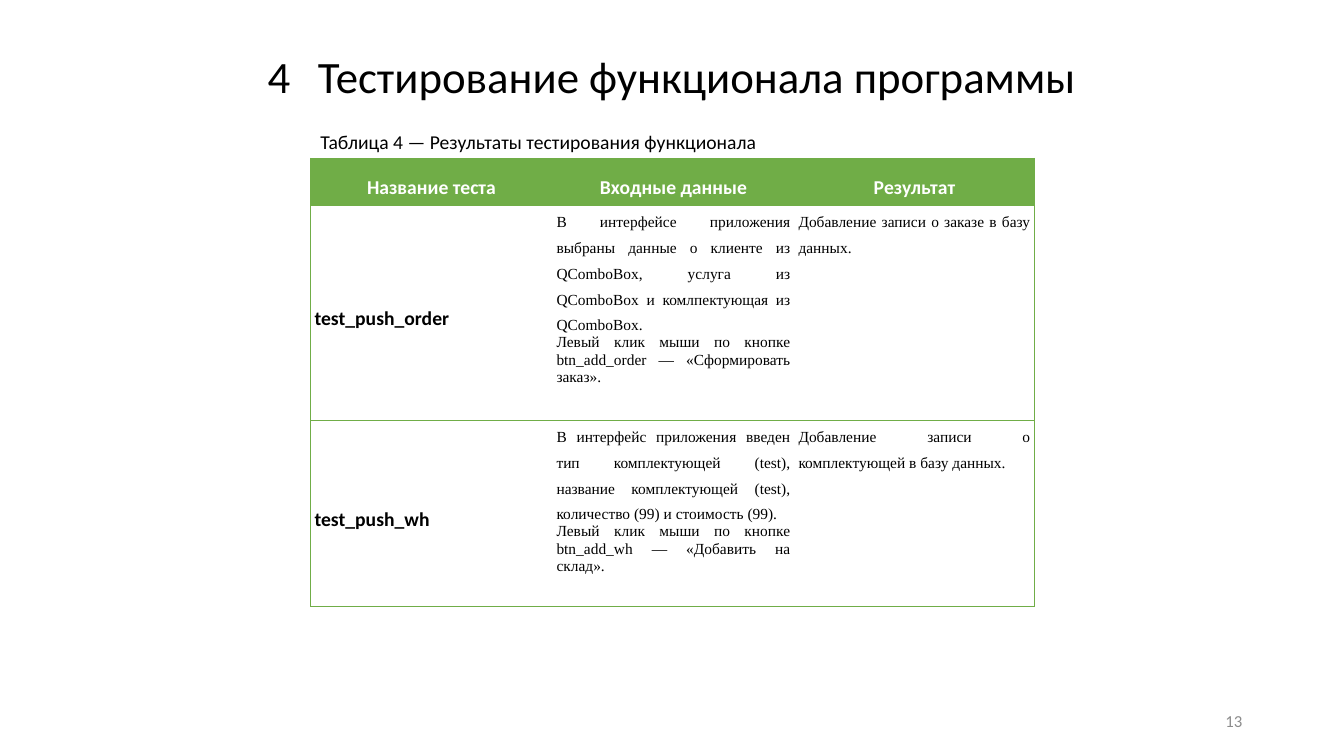
from lxml.etree import SubElement
from pptx import Presentation
from pptx.dml.color import RGBColor
from pptx.enum.text import MSO_ANCHOR, MSO_AUTO_SIZE, PP_ALIGN
from pptx.oxml.ns import qn
from pptx.util import Inches, Pt

TITLE = "4\tТестирование функционала программы"
CAPTION = "Таблица 4 — Результаты тестирования функционала"
PAGE = "13"
HEADER = ["Название теста", "Входные данные", "Результат"]
TESTS = [
    (
        "test_push_order",
        "В интерфейсе приложения выбраны данные о клиенте из QComboBox, "
        "услуга из QComboBox и комлпектующая из QComboBox.\n"
        "Левый клик мыши по кнопке btn_add_order — «Сформировать заказ».",
        "Добавление записи о заказе в базу данных.",
    ),
    (
        "test_push_wh",
        "В интерфейс приложения введен тип комплектующей (test), "
        "название комплектующей (test), количество (99) и стоимость (99).\n"
        "Левый клик мыши по кнопке btn_add_wh — «Добавить на склад».",
        "Добавление записи о комплектующей в базу данных.",
    ),
]
COLS = [2.4, 2.4, 2.38]
ROWS = [0.47, 2.13, 1.85]
LEFT, TOP = 3.08, 1.57
CAPTION_H = 0.45
GREEN, BLACK, WHITE, GRAY = "70AD47", "000000", "FFFFFF", "8C8C8C"
SANS, SERIF = "Calibri", "Times New Roman"


def rgb(value):
    return RGBColor.from_string(value)


def write(tf, text, size, color, align, spacing=1.0, font=SANS, bold=False):
    tf.text = text
    for i, p in enumerate(tf.paragraphs):
        p.alignment = align
        p.line_spacing = spacing if i == 0 else 1.0
        for r in p.runs:
            r.font.size = Pt(size)
            r.font.name = font
            r.font.bold = bold
            r.font.color.rgb = rgb(color)


def set_borders(cell, shown):
    tcPr = cell._tc.get_or_add_tcPr()
    for side in "LRTB":
        ln = SubElement(tcPr, qn("a:ln" + side), w=str(Pt(0.5)))
        if side in shown:
            fill = SubElement(ln, qn("a:solidFill"))
            SubElement(fill, qn("a:srgbClr"), val=GREEN)
        else:
            SubElement(ln, qn("a:noFill"))


def add_text(slide, box, text, size, color, align, spacing=1.0, wrap=True):
    sp = slide.shapes.add_textbox(*map(Inches, box))
    tf = sp.text_frame
    tf.word_wrap = wrap
    write(tf, text, size, color, align, spacing)
    return tf


def add_results(slide):
    data = [HEADER, *TESTS]
    frame = slide.shapes.add_table(
        len(ROWS), len(COLS), Inches(LEFT), Inches(TOP),
        Inches(sum(COLS)), Inches(sum(ROWS)))
    table = frame.table
    table.horz_banding = False
    for col, width in zip(table.columns, COLS):
        col.width = Inches(width)
    for i, height in enumerate(ROWS):
        table.rows[i].height = Inches(height)
        for j, text in enumerate(data[i]):
            cell = table.cell(i, j)
            head, name = i == 0, j == 0
            strong = head or name
            cell.margin_left = cell.margin_right = Inches(0.04)
            cell.margin_top = cell.margin_bottom = 0
            cell.vertical_anchor = MSO_ANCHOR.MIDDLE if strong else MSO_ANCHOR.TOP
            sides = "TB" + ("L" if name else "") + ("R" if j == len(COLS) - 1 else "")
            set_borders(cell, sides)
            if head:
                cell.fill.solid()
                cell.fill.fore_color.rgb = rgb(GREEN)
            else:
                cell.fill.background()
            write(cell.text_frame, text, 14 if strong else 11,
                  WHITE if head else BLACK,
                  PP_ALIGN.CENTER if head else PP_ALIGN.JUSTIFY,
                  1.5, SANS if strong else SERIF, strong)


def main():
    prs = Presentation()
    prs.slide_width, prs.slide_height = Inches(13.33), Inches(7.5)
    slide = prs.slides.add_slide(prs.slide_layouts[5])

    title = slide.shapes.title
    title.left, title.top = Inches(0.76), 0
    title.width, title.height = Inches(11.81), Inches(TOP)
    tf = title.text_frame
    tf.auto_size = MSO_AUTO_SIZE.NONE
    tf.vertical_anchor = MSO_ANCHOR.MIDDLE
    write(tf, TITLE, 32, BLACK, PP_ALIGN.CENTER, 0.9)

    tf = add_text(slide, (9.42, 6.95, 3, 0.4), PAGE, 12, GRAY, PP_ALIGN.RIGHT)
    tf.vertical_anchor = MSO_ANCHOR.MIDDLE
    add_results(slide)
    add_text(slide, (LEFT, TOP - CAPTION_H, 4.56, CAPTION_H), CAPTION,
             14, BLACK, PP_ALIGN.JUSTIFY, 1.5, wrap=False)
    prs.save("out.pptx")


if __name__ == "__main__":
    main()
